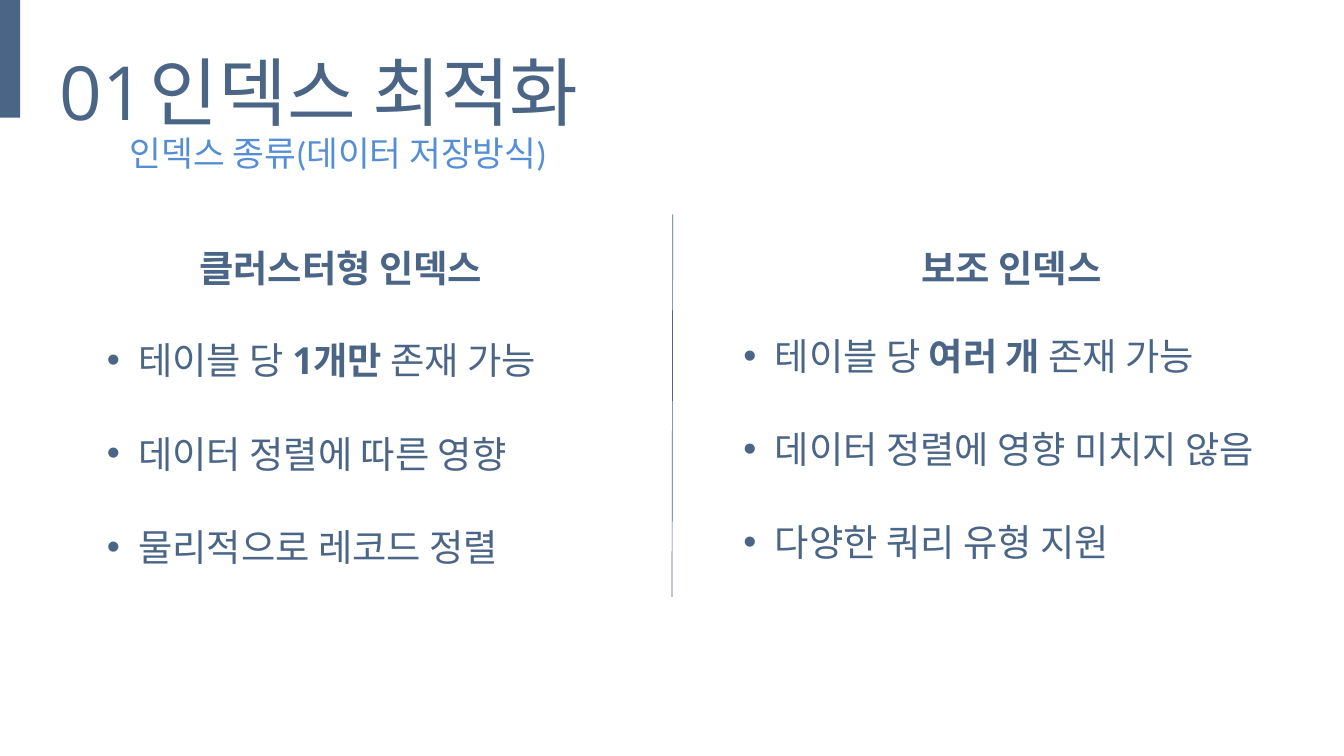
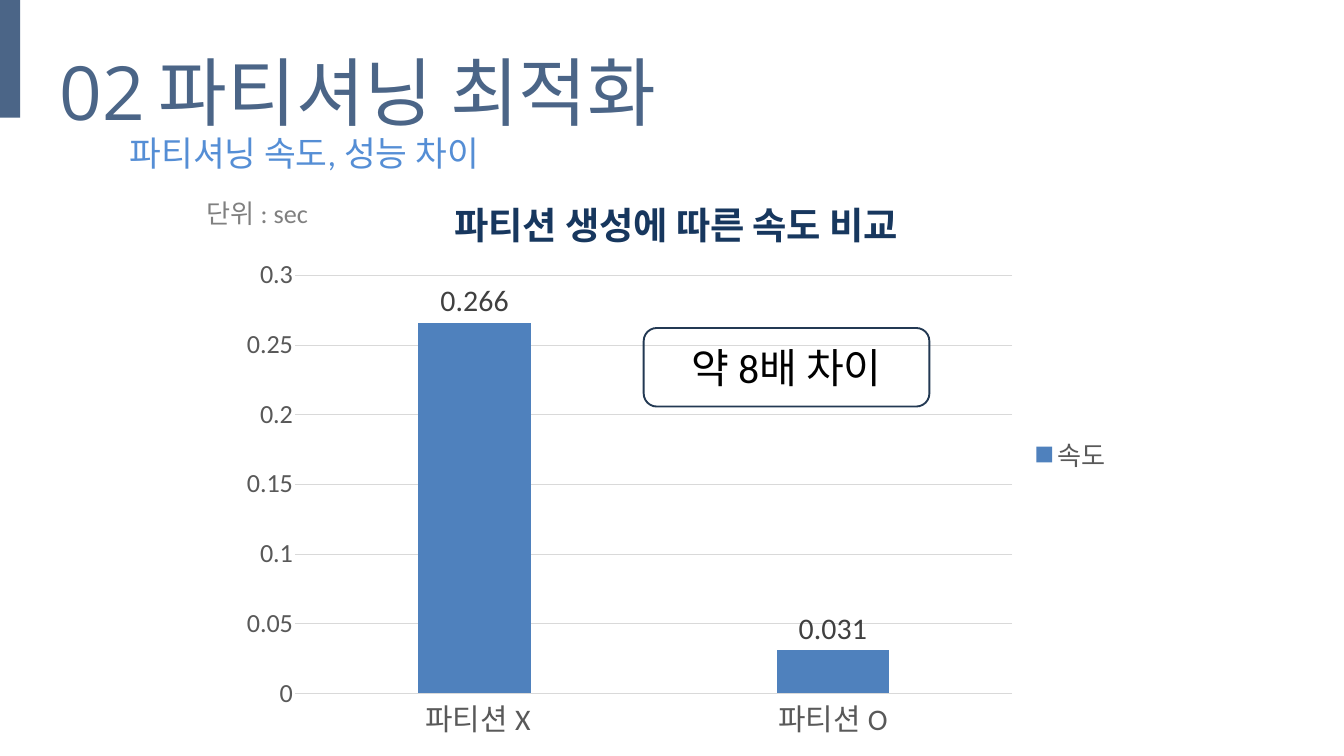
"""Build two slides on index types and partition speed."""
import lxml.etree
import pptx
import pptx.chart.data
import pptx.dml.color
import pptx.enum.chart
import pptx.enum.shapes
import pptx.enum.text
import pptx.oxml.ns
import pptx.util

Cm = pptx.util.Cm
Pt = pptx.util.Pt
qn = pptx.oxml.ns.qn
Align = pptx.enum.text.PP_ALIGN
Shape = pptx.enum.shapes.MSO_SHAPE
RGB = pptx.dml.color.RGBColor.from_string

COLORS = {
    "main": "4B6587", "sub": "558ED5", "bar": "4F81BD", "grid": "D9D9D9",
    "axis": "595959", "value": "404040", "unit": "808080", "head": "17375E",
    "frame": "233953", "black": "000000",
}


def style(font, size, color, face="Calibri", bold=False):
    font.size, font.name, font.bold = Pt(size), face, bold
    font.color.rgb = RGB(COLORS[color])


def write(frame, text, size=40, color="main", face="Calibri", bold=False,
          align=Align.LEFT, lines=None, pad=True, bullet=False):
    frame.word_wrap = True
    frame.auto_size = pptx.enum.text.MSO_AUTO_SIZE.NONE
    if not pad:
        frame.margin_left = frame.margin_right = 0
        frame.margin_top = frame.margin_bottom = 0
    for i, row in enumerate(text.split("\n")):
        para = frame.add_paragraph() if i else frame.paragraphs[0]
        para.alignment = align
        if lines:
            para.line_spacing = Pt(lines[i])
        if bullet:
            para.level = 1
            props = para._p.get_or_add_pPr()
            props.set("marL", str(Cm(2.39)))
            props.set("indent", str(Cm(-1.19)))
            lxml.etree.SubElement(props, qn("a:buFont")).set("typeface", "Arial")
            lxml.etree.SubElement(props, qn("a:buChar")).set("char", "•")
        for j, part in enumerate(row.split("*")):
            run = para.add_run()
            run.text = part
            style(run.font, size, color, face, bold or j % 2 == 1)


deck = pptx.Presentation()
deck.slide_width, deck.slide_height = Cm(50.8), Cm(28.58)

heads = [
    ("01", "인덱스 최적화", 5.66, "인덱스 종류(데이터 저장방식)"),
    ("02", "파티셔닝 최적화", 6, "파티셔닝 속도, 성능 차이"),
]
slides = []
for number, name, left, sub in heads:
    slide = deck.slides.add_slide(deck.slide_layouts[5])
    slides.append(slide)
    band = slide.shapes.add_shape(Shape.RECTANGLE, 0, 0, Cm(0.76), Cm(4.45))
    band.shadow.inherit = False
    band.fill.solid()
    band.fill.fore_color.rgb = RGB(COLORS["main"])
    band.line.fill.background()

    box = slide.shapes.add_textbox(Cm(2.26), Cm(1.17), Cm(3.7), Cm(3.81))
    write(box.text_frame, number, size=80, face="Open Sans", lines=[112], pad=False)
    title = slide.shapes.title
    title.left, title.top, title.width, title.height = Cm(left), Cm(1.17), Cm(36), Cm(3.81)
    title.text_frame.vertical_anchor = pptx.enum.text.MSO_ANCHOR.TOP
    write(title.text_frame, name, size=80, lines=[112], pad=False)
    box = slide.shapes.add_textbox(Cm(4.65), Cm(4.88), Cm(30), Cm(1.83))
    write(box.text_frame, sub, size=37, color="sub")

types, speed = slides

line = types.shapes.add_connector(
    pptx.enum.shapes.MSO_CONNECTOR.STRAIGHT, Cm(25.43), Cm(8.1), Cm(25.4), Cm(22.56))
line.line.color.rgb = RGB(COLORS["main"])
line.line.width = Pt(0.75)
lxml.etree.SubElement(line._element.spPr, qn("a:effectLst"))

columns = [
    (6.88, "클러스터형 인덱스", (2.84, 10.92, 21.08, 13.74), "Open Sans", [100, 100, 100],
     "테이블 당 *1개만 *존재 가능\n데이터 정렬에 따른 영향\n물리적으로 레코드 정렬"),
    (32.23, "보조 인덱스", (26.9, 12.27, 22.68, 8.64), "Calibri", [56.8, 100, 100],
     "테이블 당 *여러 개 *존재 가능\n데이터 정렬에 영향 미치지 않음\n다양한 쿼리 유형 지원"),
]
for left, head, spot, face, lines, points in columns:
    box = types.shapes.add_textbox(Cm(left), Cm(8.97), Cm(12.01), Cm(1.88))
    write(box.text_frame, head, bold=True, align=Align.CENTER, lines=[56], pad=False)
    box = types.shapes.add_textbox(*map(Cm, spot))
    write(box.text_frame, points, face=face, lines=lines, pad=False, bullet=True)

data = pptx.chart.data.CategoryChartData()
data.categories = [" 파티션 X", "파티션 O"]
data.add_series("속도", [0.266, 0.031])
chart = speed.shapes.add_chart(
    pptx.enum.chart.XL_CHART_TYPE.COLUMN_CLUSTERED,
    Cm(8.46), Cm(5.89), Cm(33.86), Cm(22.58), data).chart
style(chart.font, 10, "black")
chart.has_title = True
write(chart.chart_title.text_frame, "파티션 생성에 따른 속도 비교",
      color="head", bold=True, align=Align.CENTER)
chart.has_legend = True
chart.legend.position = pptx.enum.chart.XL_LEGEND_POSITION.RIGHT
chart.legend.include_in_layout = False
style(chart.legend.font, 28, "axis")

plot = chart.plots[0]
plot.gap_width, plot.overlap, plot.vary_by_categories = 219, -27, False
fill = plot.series[0].format.fill
fill.solid()
fill.fore_color.rgb = RGB(COLORS["bar"])
plot.has_data_labels = True
labels = plot.data_labels
labels.show_value = True
labels.position = pptx.enum.chart.XL_LABEL_POSITION.OUTSIDE_END
style(labels.font, 32, "value")

cats, vals = chart.category_axis, chart.value_axis
for axis, size in ((cats, 32), (vals, 28)):
    axis.major_tick_mark = pptx.enum.chart.XL_TICK_MARK.NONE
    style(axis.tick_labels.font, size, "axis")
vals.minimum_scale, vals.maximum_scale, vals.major_unit = 0, 0.3, 0.05
vals.format.line.fill.background()
for rule in (cats.format.line, vals.major_gridlines.format.line):
    rule.color.rgb = RGB(COLORS["grid"])
    rule.width = Pt(0.75)

layouts = [
    (chart.chart_title._element, 1,
     {"xMode": "edge", "yMode": "edge", "x": 0.25, "y": 0.05}),
    (chart._chartSpace.chart.plotArea, 0,
     {"layoutTarget": "inner", "xMode": "edge", "yMode": "edge",
      "x": 0.08, "y": 0.2, "w": 0.8, "h": 0.7}),
]
for part, index, values in layouts:
    for old in part.findall(qn("c:layout")):
        part.remove(old)
    layout = lxml.etree.Element(qn("c:layout"))
    manual = lxml.etree.SubElement(layout, qn("c:manualLayout"))
    for key, value in values.items():
        lxml.etree.SubElement(manual, qn("c:" + key)).set("val", str(value))
    part.insert(index, layout)

box = speed.shapes.add_textbox(Cm(7.57), Cm(7.34), Cm(7.44), Cm(1.45))
write(box.text_frame, "단위 : sec", size=28, color="unit")
note = speed.shapes.add_shape(
    Shape.ROUNDED_RECTANGLE, Cm(24.33), Cm(12.4), Cm(10.8), Cm(2.97))
note.shadow.inherit = False
note.fill.background()
note.line.color.rgb = RGB(COLORS["frame"])
note.line.width = Pt(2)
note.text_frame.vertical_anchor = pptx.enum.text.MSO_ANCHOR.MIDDLE
write(note.text_frame, "약 8배 차이", size=44, color="black", align=Align.CENTER)

deck.save("out.pptx")
